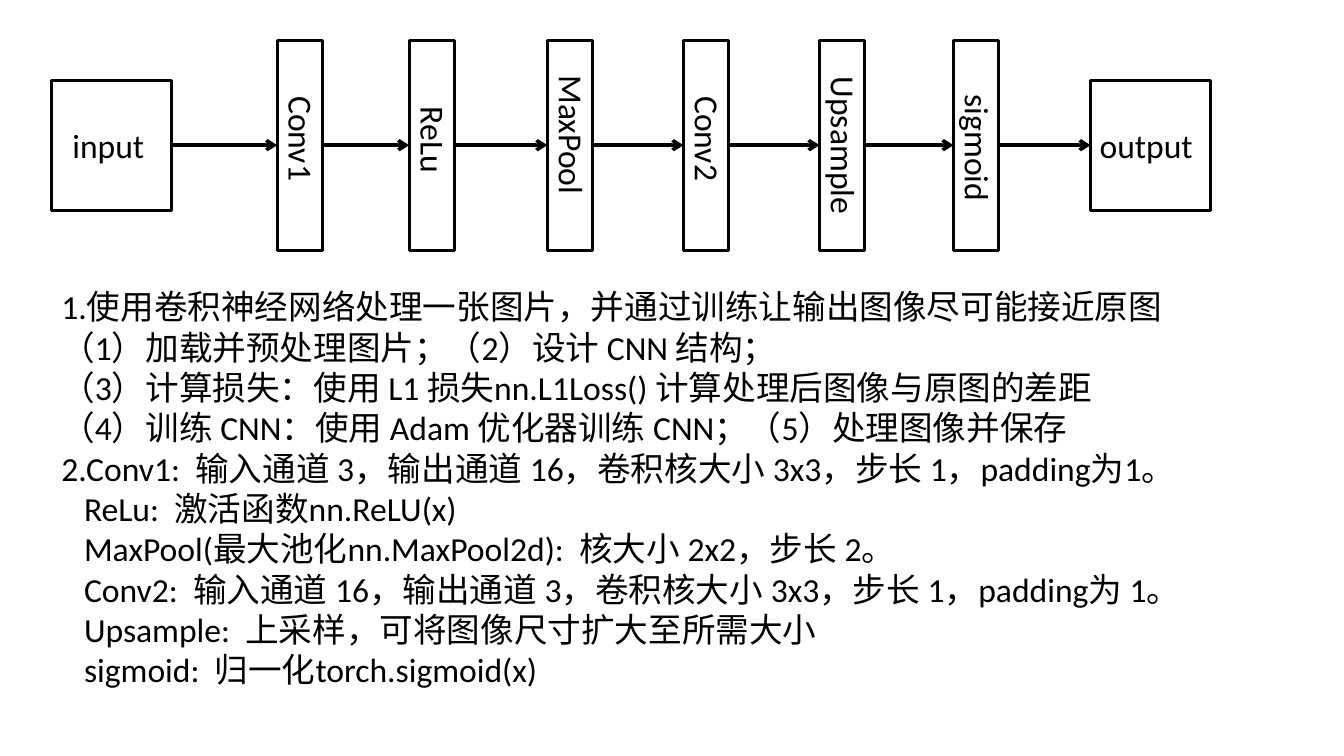
from dataclasses import dataclass
from itertools import pairwise

from lxml.etree import SubElement
from pptx import Presentation
from pptx.dml.color import RGBColor
from pptx.enum.shapes import MSO_CONNECTOR as CONN, MSO_SHAPE as SHAPE
from pptx.enum.text import MSO_AUTO_SIZE as FIT
from pptx.oxml.ns import qn
from pptx.shapes.autoshape import Shape
from pptx.shapes.shapetree import SlideShapes
from pptx.text.text import TextFrame, _Paragraph as Paragraph
from pptx.util import Pt


@dataclass(frozen=True)
class Theme:
    ink: RGBColor = RGBColor(0, 0, 0)
    paper: RGBColor = RGBColor(255, 255, 255)
    font: str = "Calibri"
    size: float = 24
    border: float = 2.25
    arrow: float = 2.5


@dataclass(frozen=True)
class Block:
    label: str
    left: float
    label_width: float
    dx: float = 1.5
    dy: float = 0
    width: float = 32.4
    height: float = 150
    turn: float = 90


@dataclass(frozen=True)
class Note:
    text: str
    term: str = ""
    indent: float = 0


THEME = Theme()
AXIS = 103.7
LABEL_HEIGHT = 36
STEP_INDENT = 16.2
TERM_GAP = 5.4

END_BOX = {"width": 85.7, "height": 93, "turn": 0}
BLOCKS = [
    Block("input", 36.7, 71.3, dx=0.7, **END_BOX),
    Block("Conv1", 198, 84.2),
    Block("ReLu", 292.3, 64.8, dy=-2.2),
    Block("MaxPool", 391, 106.6, dy=-3.6),
    Block("Conv2", 488.2, 84.2),
    Block("Upsample", 585.4, 116, dy=2.2),
    Block("sigmoid", 681.1, 92.2, dy=2.9),
    Block("output", 779, 94.3, dx=3.6, **END_BOX),
]

NOTES = [
    Note("1.使用卷积神经网络处理一张图片，并通过训练让输出图像尽可能接近原图"),
    Note("（1）加载并预处理图片；（2）设计 CNN 结构；"),
    Note("（3）计算损失：使用 L1 损失nn.L1Loss() 计算处理后图像与原图的差距"),
    Note("（4）训练 CNN：使用 Adam 优化器训练 CNN；（5）处理图像并保存"),
    Note("输入通道 3，输出通道 16，卷积核大小 3x3，步长 1，padding为1。", "2.Conv1:"),
    Note("激活函数nn.ReLU(x)", "ReLu:", STEP_INDENT),
    Note("核大小 2x2，步长 2。", "MaxPool(最大池化nn.MaxPool2d):", STEP_INDENT),
    Note("输入通道 16，输出通道 3，卷积核大小 3x3，步长 1，padding为 1。",
         "Conv2:", STEP_INDENT),
    Note("上采样，可将图像尺寸扩大至所需大小", "Upsample:", STEP_INDENT),
    Note("归一化torch.sigmoid(x)", "sigmoid:", STEP_INDENT),
]


def add_run(p: Paragraph, text: str, spacing: float = 0) -> None:
    r = p.add_run()
    r.text = text
    for name, value in {"name": THEME.font, "size": Pt(THEME.size)}.items():
        setattr(r.font, name, value)
    r.font.color.rgb = THEME.ink
    if spacing:
        r.font._element.set("spc", str(round(spacing * 100)))


def add_text_box(shapes: SlideShapes, left: float, top: float,
                 width: float, height: float) -> tuple[Shape, TextFrame]:
    s = shapes.add_textbox(Pt(left), Pt(top), Pt(width), Pt(height))
    tf = s.text_frame
    for name, value in {"word_wrap": True,
                        "auto_size": FIT.SHAPE_TO_FIT_TEXT}.items():
        setattr(tf, name, value)
    return s, tf


def add_block(shapes: SlideShapes, block: Block) -> Shape:
    s = shapes.add_shape(SHAPE.RECTANGLE, Pt(block.left),
                         Pt(AXIS - block.height / 2),
                         Pt(block.width), Pt(block.height))
    s.shadow.inherit = False
    s.fill.solid()
    s.fill.fore_color.rgb = THEME.paper
    s.line.color.rgb = THEME.ink
    s.line.width = Pt(THEME.border)

    center = block.left + block.width / 2 + block.dx
    label, tf = add_text_box(shapes, center - block.label_width / 2,
                             AXIS + block.dy - LABEL_HEIGHT / 2,
                             block.label_width, LABEL_HEIGHT)
    label.rotation = block.turn
    add_run(tf.paragraphs[0], block.label)
    return s


def add_arrow(shapes: SlideShapes, source: Shape, target: Shape) -> None:
    s = shapes.add_connector(CONN.STRAIGHT, 0, 0, 0, 0)
    s.begin_connect(source, 3)
    s.end_connect(target, 1)
    s.line.color.rgb = THEME.ink
    s.line.width = Pt(THEME.arrow)
    SubElement(s.line._get_or_add_ln(), qn("a:tailEnd"), type="arrow")
    SubElement(s._element.spPr, qn("a:effectLst"))


def add_notes_text(shapes: SlideShapes, notes: list[Note]) -> None:
    _, tf = add_text_box(shapes, 36.7, 200.9, 894.2, 298)
    for i, note in enumerate(notes):
        p = tf.add_paragraph() if i else tf.paragraphs[0]
        if note.indent:
            p._p.get_or_add_pPr().set("marL", str(Pt(note.indent)))
        if note.term:
            add_run(p, note.term)
            add_run(p, " ", TERM_GAP)
        add_run(p, note.text)


def main() -> None:
    prs = Presentation()
    prs.slide_width, prs.slide_height = Pt(960), Pt(540)
    shapes = prs.slides.add_slide(prs.slide_layouts[6]).shapes
    add_notes_text(shapes, NOTES)
    boxes = [add_block(shapes, block) for block in BLOCKS]
    for source, target in pairwise(boxes):
        add_arrow(shapes, source, target)
    prs.save("out.pptx")


if __name__ == "__main__":
    main()
